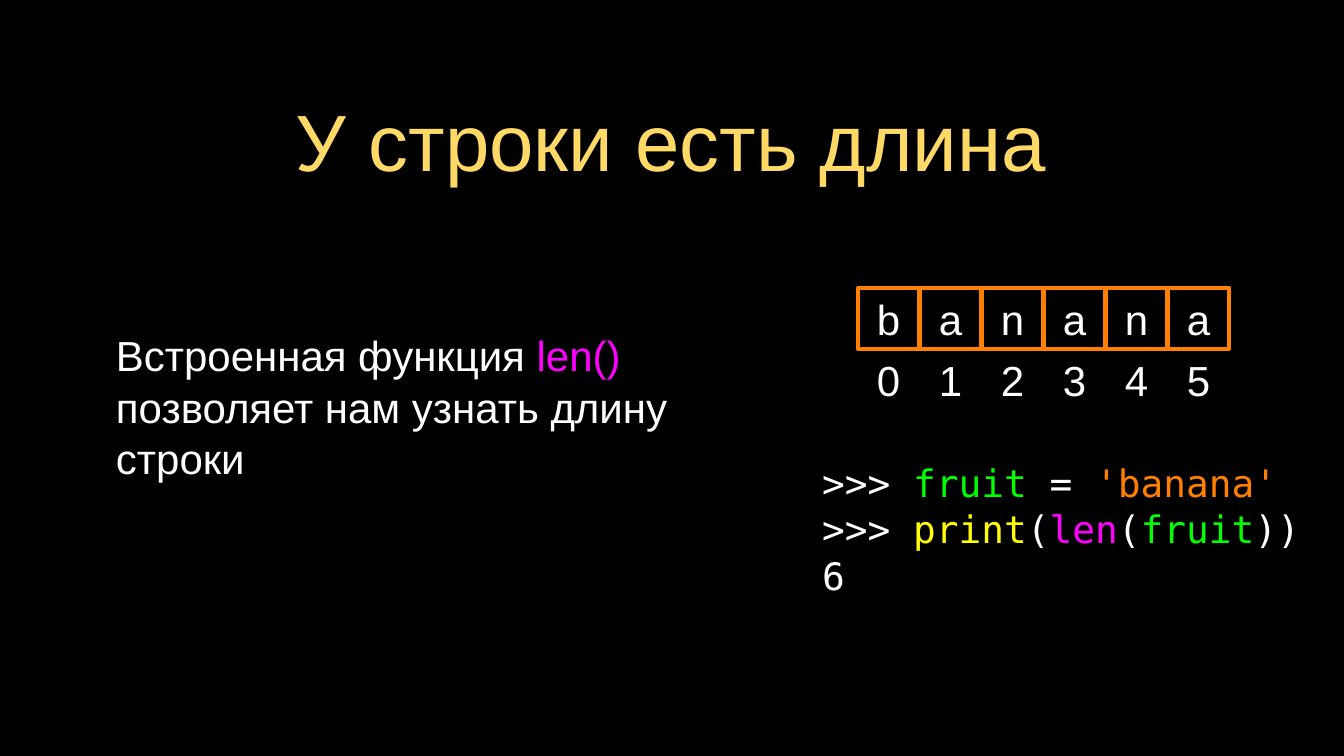
from pptx import Presentation
from pptx.dml.color import RGBColor
from pptx.enum.shapes import MSO_SHAPE as SHAPE
from pptx.enum.text import MSO_ANCHOR as ANCHOR, PP_ALIGN as ALIGN
from pptx.util import Pt

WHITE, GREEN, ORANGE = "FFFFFF", "00FF00", "FF7F00"
MAGENTA, YELLOW, GOLD = "FF00FF", "FFFF00", "FFD966"

TITLE = [[("У строки есть длина", GOLD)]]
BODY = [[("Встроенная функция ", WHITE), ("len() ", MAGENTA),
         ("позволяет нам узнать длину строки", WHITE)]]
CODE = [
    [(">>> ", WHITE), ("fruit", GREEN), (" = ", WHITE), ("'banana'", ORANGE)],
    [(">>> ", WHITE), ("print", YELLOW), ("(", WHITE), ("len", MAGENTA),
     ("(", WHITE), ("fruit", GREEN), ("))", WHITE)],
    [("6", WHITE)],
]
WORD = "banana"

TITLE_FONT = {"name": "Arial", "size": Pt(76)}
TEXT_FONT = {"name": "Arial", "size": Pt(40)}
CODE_FONT = {"name": "DejaVu Sans Mono", "size": Pt(36)}

PX = 12096
CELL, PITCH, CELLS_LEFT, CELLS_TOP = 61, 62, 858, 288


def px(n):
    return n * PX


def rgb(value):
    return RGBColor.from_string(value)


def write(s, paragraphs, font, align=ALIGN.LEFT, inset=0, left=0, spacing=1.0):
    tf = s.text_frame
    frame = {"word_wrap": True, "vertical_anchor": ANCHOR.MIDDLE,
             "margin_left": px(inset + left), "margin_right": px(inset),
             "margin_top": px(inset), "margin_bottom": px(inset)}
    for key, value in frame.items():
        setattr(tf, key, value)
    for i, runs in enumerate(paragraphs):
        p = tf.add_paragraph() if i else tf.paragraphs[0]
        p.alignment, p.line_spacing = align, spacing
        for text, color in runs:
            r = p.add_run()
            r.text = text
            r.font.color.rgb = rgb(color)
            for key, value in font.items():
                setattr(r.font, key, value)


def text_box(slide, box, paragraphs, font, **layout):
    s = slide.shapes.add_textbox(*map(px, box))
    write(s, paragraphs, font, **layout)


def letter_cell(slide, box, letter):
    s = slide.shapes.add_shape(SHAPE.RECTANGLE, *map(px, box))
    s.shadow.inherit = False
    s.fill.background()
    s.line.color.rgb = rgb(ORANGE)
    s.line.width = Pt(4)
    write(s, [[(letter, WHITE)]], TEXT_FONT, align=ALIGN.CENTER)


def main():
    prs = Presentation()
    prs.slide_width, prs.slide_height = px(1344), px(756)
    slide = prs.slides.add_slide(prs.slide_layouts[6])
    slide.background.fill.solid()
    slide.background.fill.fore_color.rgb = rgb("000000")

    text_box(slide, (95, 69, 1152, 141), TITLE, TITLE_FONT, align=ALIGN.CENTER, inset=3)
    text_box(slide, (95, 215, 611, 381), BODY, TEXT_FONT, inset=3, left=18, spacing=1.03)
    text_box(slide, (822, 459, 522, 138), CODE, CODE_FONT, spacing=1.03)

    for i, letter in enumerate(WORD):
        x = CELLS_LEFT + i * PITCH
        text_box(slide, (x, CELLS_TOP + CELL, CELL, CELL), [[(str(i), WHITE)]],
                 TEXT_FONT, align=ALIGN.CENTER)
        letter_cell(slide, (x, CELLS_TOP, CELL, CELL), letter)

    prs.save("out.pptx")


if __name__ == "__main__":
    main()
